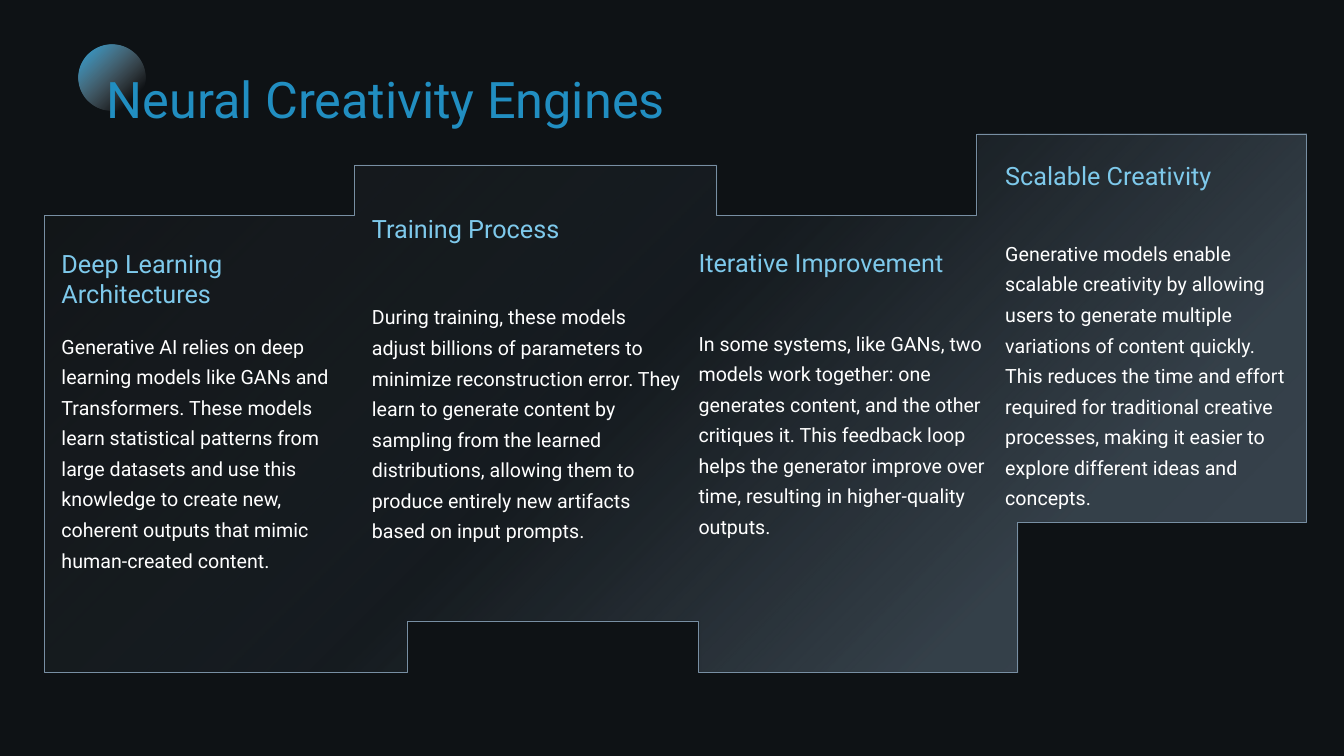
from pptx import Presentation
from pptx.dml.color import RGBColor
from pptx.enum.shapes import MSO_SHAPE
from pptx.enum.text import MSO_ANCHOR, MSO_AUTO_SIZE, PP_ALIGN
from pptx.oxml import parse_xml
from pptx.oxml.ns import nsdecls
from pptx.util import Inches, Pt

COLORS = {
    "night": "0E1215",
    "steel": "788FA3",
    "charcoal": "232322",
    "azure": "28A4DE",
    "mist": "C5C9CE",
    "title": "218EC1",
    "heading": "7EC9EB",
    "body": "FFFFFF",
}


class Deck:
    """Style and current slide; lengths are percent of the slide's size."""

    font = "Roboto"

    def __init__(self, width, height):
        self.prs = Presentation()
        self.prs.slide_width = Inches(width)
        self.prs.slide_height = Inches(height)
        self.slide = self.prs.slides.add_slide(self.prs.slide_layouts[6])
        background = self.slide.background.fill
        background.solid()
        background.fore_color.rgb = self.color("night")

    def color(self, name):
        return RGBColor.from_string(COLORS[name])

    def point(self, x, y):
        return (round(self.prs.slide_width * x / 100),
                round(self.prs.slide_height * y / 100))

    def gradient(self, shape, stops, angle):
        """Fill with stops of (position, color, opacity), all in percent."""
        stop_xml = "".join(
            f'<a:gs pos="{position * 1000}"><a:srgbClr val="{COLORS[name]}">'
            f'<a:alpha val="{opacity * 1000}"/></a:srgbClr></a:gs>'
            for position, name, opacity in stops)
        fill = parse_xml(
            f'<a:gradFill {nsdecls("a")} rotWithShape="1"><a:gsLst>{stop_xml}</a:gsLst>'
            f'<a:lin ang="{angle * 60000}" scaled="0"/></a:gradFill>')
        shape.fill.background()
        properties = shape.element.spPr
        properties.replace(properties.find("{*}noFill"), fill)
        shape.shadow.inherit = False

    def outline(self, corners, stops, angle, line):
        start, *others = [self.point(x, y) for x, y in corners]
        builder = self.slide.shapes.build_freeform(*start)
        builder.add_line_segments(others, close=True)
        panel = builder.convert_to_shape()
        self.gradient(panel, stops, angle)
        panel.line.color.rgb = self.color(line)
        panel.line.width = Pt(0.5)

    def circle(self, x, y, w, h, stops, angle):
        disc = self.slide.shapes.add_shape(
            MSO_SHAPE.OVAL, *self.point(x, y), *self.point(w, h))
        self.gradient(disc, stops, angle)
        disc.line.fill.background()

    def text(self, words, x, y, w, h, size, color, spacing=1.0, inset=0.05):
        box = self.slide.shapes.add_textbox(*self.point(x, y), *self.point(w, h))
        frame = box.text_frame
        frame.text = words
        frame.word_wrap = True
        frame.auto_size = MSO_AUTO_SIZE.SHAPE_TO_FIT_TEXT
        frame.vertical_anchor = MSO_ANCHOR.TOP
        frame.margin_left = frame.margin_right = Inches(inset)
        frame.margin_top = frame.margin_bottom = Inches(inset)
        paragraph = frame.paragraphs[0]
        paragraph.alignment = PP_ALIGN.LEFT
        paragraph.line_spacing = spacing
        for run in paragraph.runs:
            run.font.name = self.font
            run.font.size = Pt(size)
            run.font.color.rgb = self.color(color)

    def topic(self, heading, body, x, w, heading_y, heading_h, body_y, body_h):
        self.text(heading, x, heading_y, w, heading_h, 18, "heading")
        self.text(body, x, body_y, w, body_h, 14, "body", spacing=1.3)


PANEL_CORNERS = [
    (3.3, 28.53), (26.4, 28.53), (26.4, 21.87), (53.33, 21.87),
    (53.33, 28.53), (72.68, 28.53), (72.68, 17.73), (97.2, 17.73),
    (97.2, 69.07), (75.68, 69.07), (75.68, 88.93), (51.98, 88.93),
    (51.98, 82.13), (30.3, 82.13), (30.3, 88.93), (3.3, 88.93),
]
PANEL_STOPS = [(0, "steel", 39), (22, "steel", 36),
               (54, "steel", 7), (100, "charcoal", 15)]
DISC_STOPS = [(0, "azure", 100), (81, "mist", 0), (100, "mist", 0)]

# Heading, body, left, width, then top and height of heading and of body
TOPICS = [
    ("Deep Learning Architectures",
     "Generative AI relies on deep learning models like GANs and Transformers. "
     "These models learn statistical patterns from large datasets and use this "
     "knowledge to create new, coherent outputs that mimic human-created content.",
     4.2, 22.13, 32.13, 8.67, 42.67, 33.33),
    ("Training Process",
     "During training, these models adjust billions of parameters to minimize "
     "reconstruction error. They learn to generate content by sampling from the "
     "learned distributions, allowing them to produce entirely new artifacts "
     "based on input prompts.",
     27.3, 23.85, 27.6, 4.13, 38.8, 33.33),
    ("Iterative Improvement",
     "In some systems, like GANs, two models work together: one generates "
     "content, and the other critiques it. This feedback loop helps the "
     "generator improve over time, resulting in higher-quality outputs.",
     51.6, 22.58, 32, 4.13, 42.27, 29.2),
    ("Scalable Creativity",
     "Generative models enable scalable creativity by allowing users to generate "
     "multiple variations of content quickly. This reduces the time and effort "
     "required for traditional creative processes, making it easier to explore "
     "different ideas and concepts.",
     74.42, 22.13, 20.53, 4.13, 30.4, 37.47),
]


def main():
    deck = Deck(13.33, 7.5)

    # Stepped panel behind the topics
    deck.outline(PANEL_CORNERS, PANEL_STOPS, 225, "steel")

    # Title with its glowing disc
    deck.circle(5.85, 5.87, 4.95, 8.8, DISC_STOPS, 45)
    deck.text("Neural Creativity Engines", 7.95, 7.47, 86.33, 9.6,
              36, "title", spacing=1.2, inset=0)

    # Four topics
    for topic in TOPICS:
        deck.topic(*topic)

    deck.prs.save("out.pptx")


if __name__ == "__main__":
    main()
